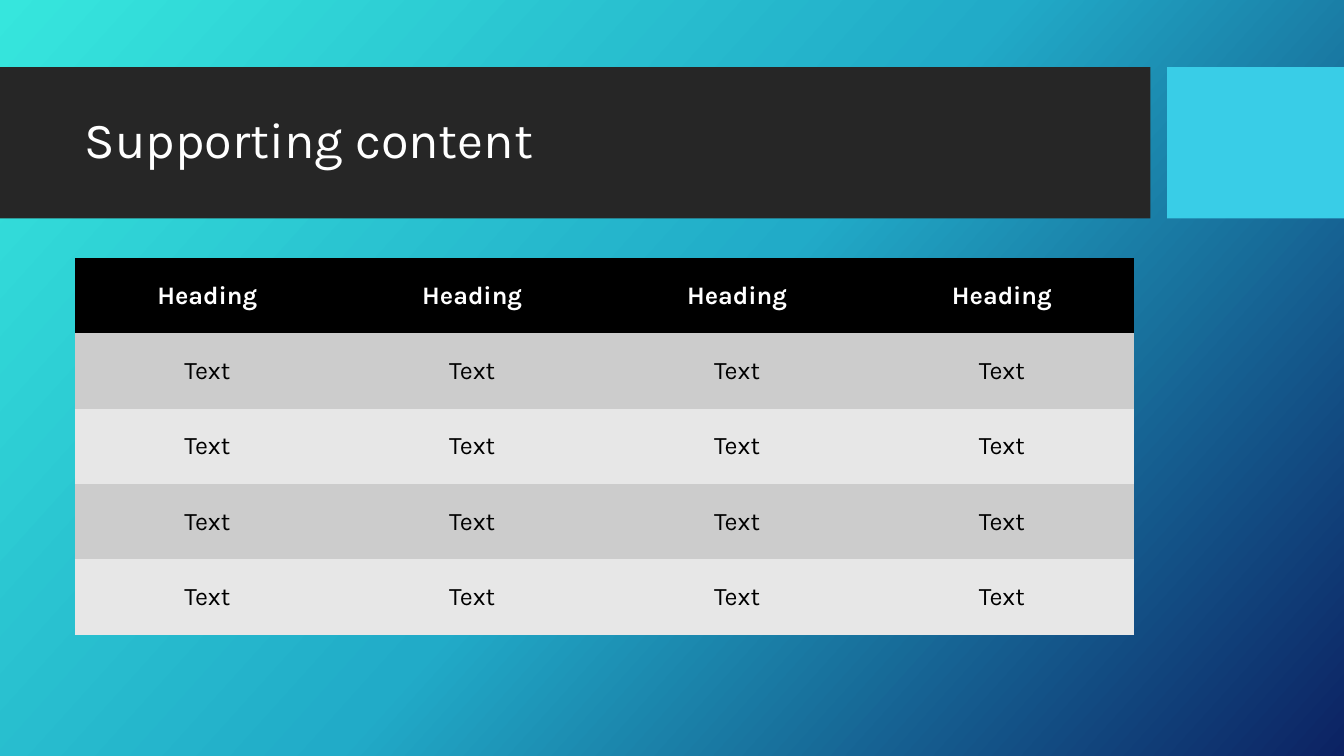
from copy import deepcopy

from pptx import Presentation
from pptx.dml.color import RGBColor
from pptx.enum.shapes import MSO_SHAPE
from pptx.enum.text import MSO_ANCHOR, PP_ALIGN
from pptx.util import Pt

WHITE = RGBColor(0xFF, 0xFF, 0xFF)
BLACK = RGBColor(0x00, 0x00, 0x00)
CHARCOAL = RGBColor(0x26, 0x26, 0x26)
CYAN = RGBColor(0x39, 0xCD, 0xE7)
BANDS = (RGBColor(0xE7, 0xE7, 0xE7), RGBColor(0xCC, 0xCC, 0xCC))
BACKGROUND_STOPS = (
    (0, RGBColor(0x36, 0xE6, 0xDD)),
    (50, RGBColor(0x21, 0xAB, 0xC8)),
    (100, RGBColor(0x0C, 0x22, 0x63)),
)
BACKGROUND_ANGLE = 42
PLAIN_TABLE_STYLE = "{2D5ABB26-0587-4C30-8999-92F81FD0307C}"


class SlideBuilder:
    def __init__(self, page, font_name):
        self.page = page
        self.font_name = font_name

    def style(self, para, size, color, bold=False):
        font = para.font
        font.name = self.font_name
        font.size = Pt(size)
        font.bold = bold
        font.color.rgb = color

    def background(self, stops, angle):
        self.page.background.fill.gradient()
        gradient = self.page.element.xpath(".//p:bg//a:gradFill")[0]
        stop_list = gradient.xpath("./a:gsLst")[0]
        template = deepcopy(stop_list[0])
        for old_stop in list(stop_list):
            stop_list.remove(old_stop)
        for position, color in stops:
            stop = deepcopy(template)
            stop.set("pos", str(position * 1000))
            stop.remove(stop[0])
            stop.get_or_change_to_srgbClr().val = str(color)
            stop_list.append(stop)
        direction = gradient.xpath("./a:lin")[0]
        direction.set("ang", str(angle * 60000))
        direction.set("scaled", "0")

    def block(self, left, top, width, height, color):
        box = self.page.shapes.add_shape(
            MSO_SHAPE.RECTANGLE, Pt(left), Pt(top), Pt(width), Pt(height))
        box.shadow.inherit = False
        box.fill.solid()
        box.fill.fore_color.rgb = color
        box.line.fill.background()

    def title(self, left, top, width, height, text):
        frame = self.page.shapes.add_textbox(
            Pt(left), Pt(top), Pt(width), Pt(height)).text_frame
        frame.word_wrap = True
        frame.vertical_anchor = MSO_ANCHOR.MIDDLE
        para = frame.paragraphs[0]
        para.text = text
        para.line_spacing = 0.9
        self.style(para, 36, WHITE)

    def table(self, left, top, width, height, rows):
        frame = self.page.shapes.add_table(
            len(rows), len(rows[0]), Pt(left), Pt(top), Pt(width), Pt(height))
        table = frame.table
        table.horz_banding = False
        frame.element.xpath(".//a:tableStyleId")[0].text = PLAIN_TABLE_STYLE
        for row_index, values in enumerate(rows):
            is_header = row_index == 0
            for column_index, value in enumerate(values):
                cell = table.cell(row_index, column_index)
                cell.fill.solid()
                cell.fill.fore_color.rgb = BLACK if is_header else BANDS[row_index % 2]
                cell.vertical_anchor = MSO_ANCHOR.MIDDLE
                para = cell.text_frame.paragraphs[0]
                para.text = value
                para.alignment = PP_ALIGN.CENTER
                self.style(para, 18, WHITE if is_header else BLACK, is_header)


def main():
    deck = Presentation()
    deck.slide_width, deck.slide_height = Pt(960), Pt(540)
    page = deck.slides.add_slide(deck.slide_layouts[6])
    builder = SlideBuilder(page, "Karla")

    # Background and title band
    builder.background(BACKGROUND_STOPS, BACKGROUND_ANGLE)
    builder.block(0, 48, 821.8, 108, CHARCOAL)
    builder.block(833.6, 48, 126.4, 108, CYAN)
    builder.title(53.5, 59, 756.8, 85, "Supporting content")

    # Table
    rows = [["Heading"] * 4] + [["Text"] * 4 for _ in range(4)]
    builder.table(53.5, 184.3, 756.8, 269.25, rows)

    deck.save("out.pptx")


if __name__ == "__main__":
    main()
